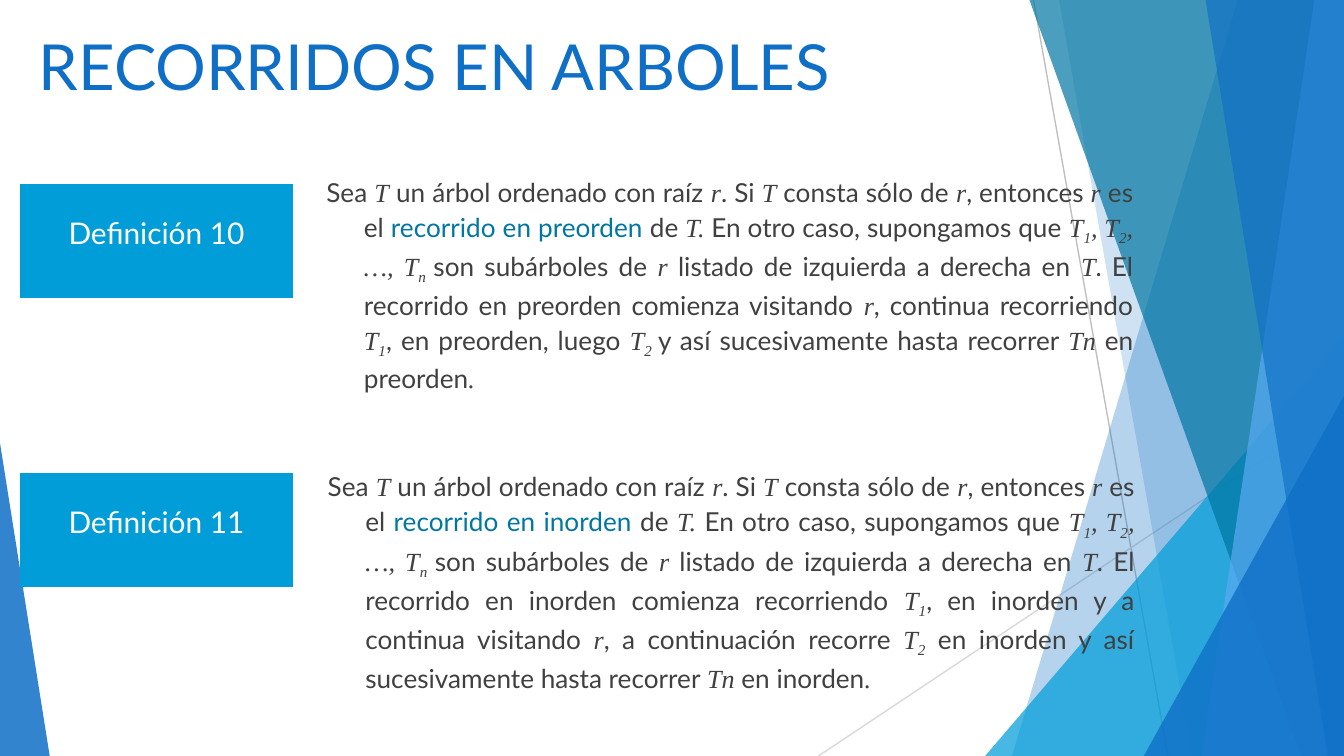
from dataclasses import dataclass

from lxml import etree
from pptx import Presentation
from pptx.dml.color import RGBColor
from pptx.enum.shapes import MSO_CONNECTOR, MSO_SHAPE
from pptx.enum.text import MSO_ANCHOR, PP_ALIGN
from pptx.oxml.ns import qn
from pptx.util import Inches, Pt

STRAIGHT = MSO_CONNECTOR.STRAIGHT
TRIANGLE = MSO_SHAPE.ISOSCELES_TRIANGLE
RECTANGLE = MSO_SHAPE.RECTANGLE
TOP, MIDDLE = MSO_ANCHOR.TOP, MSO_ANCHOR.MIDDLE
LEFT, CENTER, JUSTIFY = PP_ALIGN.LEFT, PP_ALIGN.CENTER, PP_ALIGN.JUSTIFY


@dataclass(frozen=True)
class Theme:
    """Colours, fonts and type sizes of the slide."""
    blue: str = "0F6FC6"
    cyan: str = "009DD9"
    teal: str = "0076A3"
    sky: str = "59AAF2"
    text: str = "404040"
    white: str = "FFFFFF"
    dark_rule: str = "BFBFBF"
    light_rule: str = "D9D9D9"
    font: str = "Lato"
    math_font: str = "Times New Roman"
    title_size: int = 34
    label_size: int = 16
    body_size: int = 14


THEME = Theme()
WIDTH = 10
HEIGHT = WIDTH * 9 / 16
OPENING = (
    "Sea |*T| un árbol ordenado con raíz |*r|. Si |*T| consta sólo de |*r|, entonces|* r| es el "
    "|#recorrido en {order} |de |*T. |En otro caso, supongamos que |*T|~1|*, T|~2|*, …, T|~n |"
    "son subárboles de |*r| listado de izquierda a derecha en |*T|. El recorrido en {order} comienza "
)
CLOSING = " así sucesivamente hasta recorrer |*Tn |en {order}|*."
PREORDER = OPENING + "visitando |*r|, continua recorriendo |*T|~1|, en {order}, luego |*T|~2 |y" + CLOSING
INORDER = OPENING + (
    "recorriendo |*T|~1|, en {order} y a continua visitando |*r|, a continuación recorre "
    "|*T|~2| en {order} y"
) + CLOSING
DEFINITIONS = [
    ("Definición 10", PREORDER.format(order="preorden"), (0.18, 1.4), (2.33, 1.29)),
    ("Definición 11", INORDER.format(order="inorden"), (0.18, 3.55), (2.34, 3.5)),
]


def inches(values):
    """Convert numbers to lengths."""
    return [Inches(value) for value in values]


def paint(shape, color, opacity=100):
    """Give a shape a plain fill with some opacity and no outline or shadow."""
    shape.shadow.inherit = False
    shape.fill.solid()
    shape.fill.fore_color.rgb = RGBColor.from_string(color)
    shape.line.fill.background()
    if opacity < 100:
        color_element = shape._element.spPr.find(qn("a:solidFill"))[0]
        etree.SubElement(color_element, qn("a:alpha")).set("val", str(opacity * 1000))


def style(run, size, color, font=THEME.font):
    """Set the type of a run."""
    run.font.size = Pt(size)
    run.font.name = font
    run.font.color.rgb = RGBColor.from_string(color)


def add_rule(slide, start, end, color):
    """Draw one thin straight line."""
    rule = slide.shapes.add_connector(STRAIGHT, *inches(start + end))
    rule.line.color.rgb = RGBColor.from_string(color)
    rule.line.width = Pt(0.75)
    etree.SubElement(rule._element.spPr, qn("a:effectLst"))


def add_band(slide, box, top_x, bottom_x, color, opacity):
    """Draw a band from a slanted left edge to the right side of the box."""
    left, top, width, height = box
    right, bottom = left + width, top + height
    builder = slide.shapes.build_freeform(*inches((top_x, top)), scale=1.0)
    corners = [(right, top), (right, bottom), (bottom_x, bottom)]
    builder.add_line_segments([inches(corner) for corner in corners], close=True)
    paint(builder.convert_to_shape(), color, opacity)


def add_corner(slide, box, apex, color, opacity):
    """Draw a triangle with its apex at a fraction of its width."""
    triangle = slide.shapes.add_shape(TRIANGLE, *inches(box))
    triangle.adjustments[0] = apex
    paint(triangle, color, opacity)


def add_backdrop(slide, box):
    """Draw the translucent facets that frame the slide."""
    left, top, width, height = box
    right, bottom = left + width, top + height
    add_rule(slide, (7.69, top), (8.69, bottom), THEME.dark_rule)
    add_rule(slide, (right, 3.02), (6.09, bottom), THEME.light_rule)
    add_band(slide, box, 9.21, 7.53, THEME.blue, 30)
    add_band(slide, box, 7.88, 8.87, THEME.blue, 20)
    add_corner(slide, (right - 2.67, bottom - 3.12, 2.67, 3.12), 1, THEME.cyan, 72)
    add_band(slide, box, 7.66, 9.68, THEME.teal, 70)
    add_band(slide, box, 9.78, 8.94, THEME.sky, 70)
    add_band(slide, box, 8.97, 9.88, THEME.blue, 65)
    add_corner(slide, (right - 1.49, bottom - 2.68, 1.49, 2.68), 1, THEME.blue, 80)
    add_corner(slide, (left, bottom - 2.33, 0.37, 2.33), 0, THEME.blue, 85)


def add_title(slide, box, text):
    """Place the slide title."""
    text_frame = slide.shapes.add_textbox(*inches(box)).text_frame
    text_frame.word_wrap = True
    text_frame.vertical_anchor = TOP
    text_frame.text = text
    paragraph = text_frame.paragraphs[0]
    paragraph.alignment = LEFT
    style(paragraph.runs[0], THEME.title_size, THEME.blue)


def add_label(slide, box, text):
    """Place the coloured label of a definition."""
    label = slide.shapes.add_shape(RECTANGLE, *inches(box))
    paint(label, THEME.cyan)
    label.line.color.rgb = RGBColor.from_string(THEME.cyan)
    label.line.width = Pt(4)
    outline = label._element.spPr.find(qn("a:ln"))
    etree.SubElement(outline, qn("a:miter")).set("lim", "800000")
    text_frame = label.text_frame
    text_frame.margin_left = text_frame.margin_right = Inches(0.15)
    text_frame.margin_top, text_frame.margin_bottom = inches((0.2, 0.1))
    text_frame.word_wrap = True
    text_frame.vertical_anchor = TOP
    text_frame.text = text
    paragraph = text_frame.paragraphs[0]
    paragraph.alignment = CENTER
    paragraph.space_before, paragraph.space_after = Pt(7), Pt(10)
    style(paragraph.runs[0], THEME.label_size, THEME.white)


def add_statement(slide, box, marked_text):
    """Place a definition, with * for symbols, ~ for subscripts and # for the term."""
    text_frame = slide.shapes.add_textbox(*inches(box)).text_frame
    text_frame.word_wrap = True
    text_frame.vertical_anchor = MIDDLE
    paragraph = text_frame.paragraphs[0]
    paragraph.alignment = JUSTIFY
    paragraph.line_spacing = 1.1
    paragraph.space_before = Pt(6)
    properties = paragraph._p.get_or_add_pPr()
    properties.set("marL", str(Inches(0.28)))
    properties.set("indent", str(Inches(-0.28)))
    for piece in marked_text.split("|"):
        mark = piece[0] if piece[0] in "*~#" else ""
        is_symbol = mark in ("*", "~")
        run = paragraph.add_run()
        run.text = piece[len(mark):]
        style(run, THEME.body_size, THEME.teal if mark == "#" else THEME.text,
              THEME.math_font if is_symbol else THEME.font)
        run.font.italic = is_symbol
        if mark == "~":
            run._r.get_or_add_rPr().set("baseline", "-25000")


def main():
    """Build the slide and save it."""
    presentation = Presentation()
    presentation.slide_width, presentation.slide_height = inches((WIDTH, HEIGHT))
    slide = presentation.slides.add_slide(presentation.slide_layouts[6])
    add_backdrop(slide, (0, 0, WIDTH, HEIGHT))
    add_title(slide, (0.19, 0.15, 7.05, 1.08), "RECORRIDOS EN ARBOLES")
    for label, statement, label_corner, statement_corner in DEFINITIONS:
        add_statement(slide, statement_corner + (6.2, 1.64), statement)
        add_label(slide, label_corner + (1.97, 0.79), label)
    presentation.save("out.pptx")


main()
